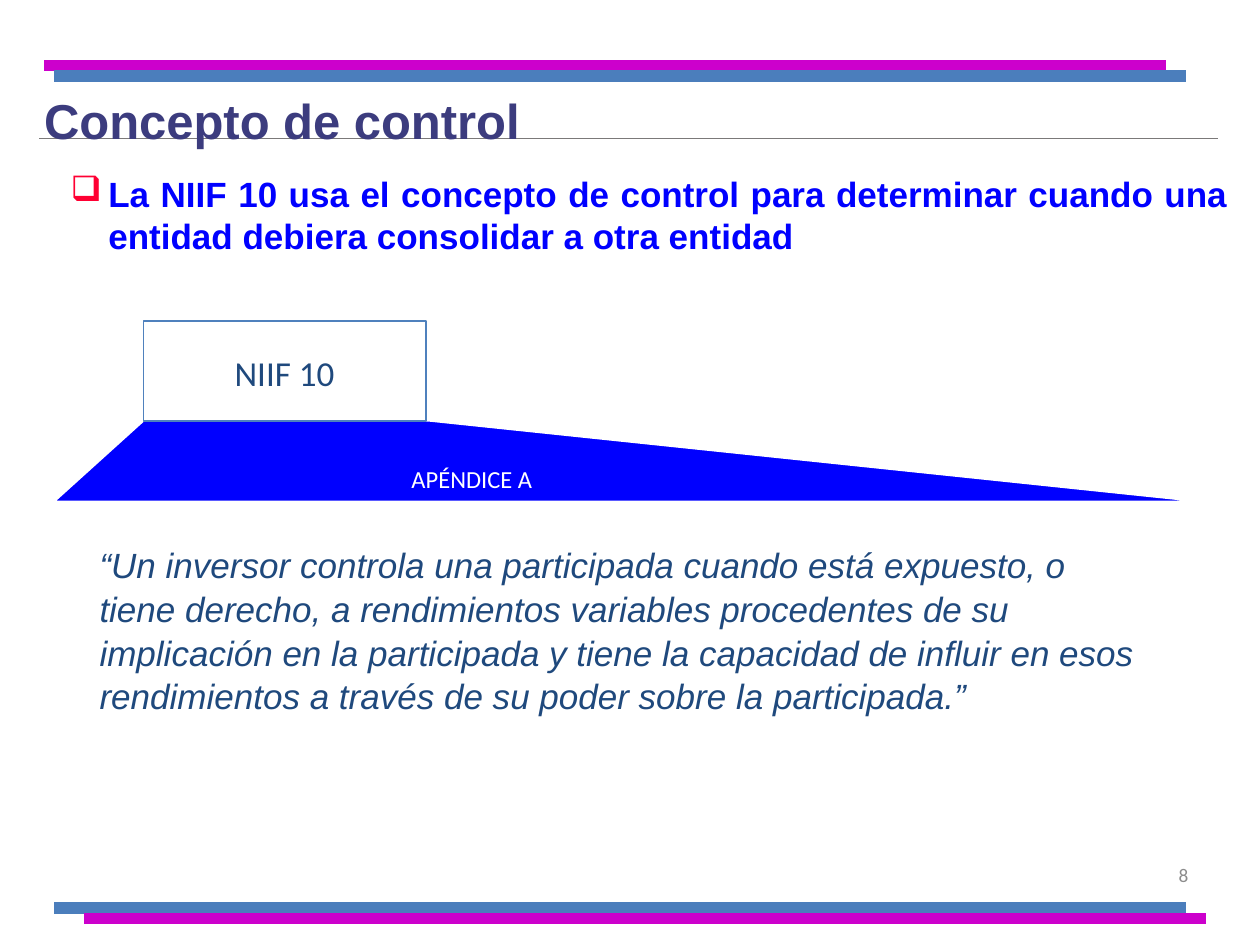
from lxml import etree
from pptx import Presentation
from pptx.dml.color import RGBColor
from pptx.enum import shapes, text
from pptx.oxml import ns
from pptx.util import Pt

THEME = {
    "title": dict(font="Arial", size=28, color="3C3C7E", bold=True),
    "point": dict(font="Arial", size=20, color="0000FF", bold=True),
    "source": dict(font="Calibri", size=20, color="1F497D"),
    "section": dict(font="Calibri", size=14, color="FFFFFF"),
    "quote": dict(font="Arial", size=20, color="1F497D", italic=True),
    "number": dict(font="Calibri", size=11, color="8C8C8C"),
    "bullet": "FF0033",
    "rule": "7B7979",
    "magenta": "CC00CC",
    "steel": "4B7EBC",
    "card_line": "4F81BD",
    "white": "FFFFFF",
    "wedge": "0000FF",
}
LEFT, CENTER, RIGHT, JUSTIFY = (
    text.PP_ALIGN.LEFT, text.PP_ALIGN.CENTER, text.PP_ALIGN.RIGHT, text.PP_ALIGN.JUSTIFY)
TOP, MIDDLE, BOTTOM = (
    text.MSO_ANCHOR.TOP, text.MSO_ANCHOR.MIDDLE, text.MSO_ANCHOR.BOTTOM)

TITLE = "Concepto de control"
POINT = ("La NIIF 10 usa el concepto de control para determinar cuando una "
         "entidad debiera consolidar a otra entidad")
SOURCE = "NIIF 10"
SECTION = "APÉNDICE A"
QUOTE = ("“Un inversor controla una participada cuando está expuesto, o tiene derecho, "
         "a rendimientos variables procedentes de su implicación en la participada y tiene "
         "la capacidad de influir en esos rendimientos a través de su poder sobre la "
         "participada.”")
NUMBER = "8"

# start x, end x, y, colour, weight
RULE = (22.5, 696, 79.2, "rule", 1)
BANDS = [
    (31, 677.5, 519.1, "steel", 6.75),
    (48.2, 689, 524.9, "magenta", 6.75),
    (25.2, 666, 37.4, "magenta", 6.75),
    (31, 677.5, 43.2, "steel", 6.75),
]
WEDGE = [(31, 286.6), (82, 240.5), (245.5, 240.5), (685.4, 286.6)]
CARD = (82, 183.6, 161.3, 56.9)
# wording, style, left, top, width, height, alignment, anchor, inset, line spacing
TITLE_BOX = (TITLE, "title", 25.2, 51.8, 674, 39.6, LEFT, TOP, 0, 1)
NUMBER_BOX = (NUMBER, "number", 518.4, 485.3, 167.8, 28.8, RIGHT, MIDDLE, 7.2, 1)
SECTION_BOX = (SECTION, "section", 61.2, 269.3, 416.9, 15.8, CENTER, BOTTOM, 2.9, 0.95)
QUOTE_BOX = (QUOTE, "quote", 54, 307, 599.8, 120.2, LEFT, TOP, 2.9, 1.04)
POINT_BOX = (POINT, "point", 40.3, 98.4, 661.7, 70.6, JUSTIFY, TOP, 0, 1)
BULLET_INDENT = 21.6


def color(name):
    return RGBColor.from_string(THEME[name])


def write(shape, wording, style, align, anchor, inset, spacing):
    frame = shape.text_frame
    frame.word_wrap = True
    frame.vertical_anchor = anchor
    frame.margin_left = frame.margin_right = Pt(inset)
    frame.margin_top = frame.margin_bottom = Pt(inset)
    para = frame.paragraphs[0]
    para.text = wording
    para.alignment = align
    para.line_spacing = spacing
    look = THEME[style]
    para.font.name = look["font"]
    para.font.size = Pt(look["size"])
    para.font.bold = look.get("bold", False)
    para.font.italic = look.get("italic", False)
    para.font.color.rgb = RGBColor.from_string(look["color"])
    return para


def add_text(page, wording, style, left, top, width, height, *layout):
    box = page.shapes.add_textbox(Pt(left), Pt(top), Pt(width), Pt(height))
    return write(box, wording, style, *layout)


def add_bullet(para, symbol):
    """Put a coloured bullet with a hanging indent ahead of the font settings."""
    props = para._p.get_or_add_pPr()
    props.set("marL", str(Pt(BULLET_INDENT)))
    props.set("indent", str(-Pt(BULLET_INDENT)))
    tint = etree.Element(ns.qn("a:buClr"))
    etree.SubElement(tint, ns.qn("a:srgbClr"), val=THEME["bullet"])
    mark = etree.Element(ns.qn("a:buChar"), char=symbol)
    font = props.find(ns.qn("a:defRPr"))
    for part in (tint, mark):
        font.addprevious(part)


def add_line(page, start, end, y, name, weight):
    line = page.shapes.add_connector(
        shapes.MSO_CONNECTOR.STRAIGHT, Pt(start), Pt(y), Pt(end), Pt(y))
    line.line.color.rgb = color(name)
    line.line.width = Pt(weight)
    etree.SubElement(line._element.spPr, ns.qn("a:effectLst"))


def paint(shape, fill, outline):
    shape.shadow.inherit = False
    shape.fill.solid()
    shape.fill.fore_color.rgb = color(fill)
    shape.line.color.rgb = color(outline)
    shape.line.width = Pt(1)


def main():
    deck = Presentation()
    deck.slide_width, deck.slide_height = Pt(720), Pt(540)
    page = deck.slides.add_slide(deck.slide_layouts[6])

    add_line(page, *RULE)
    add_text(page, *TITLE_BOX)
    add_text(page, *NUMBER_BOX)

    corners = [(Pt(x), Pt(y)) for x, y in WEDGE]
    outline = page.shapes.build_freeform(*corners[0])
    outline.add_line_segments(corners[1:], close=True)
    paint(outline.convert_to_shape(), "wedge", "white")
    add_text(page, *SECTION_BOX)

    card = page.shapes.add_shape(
        shapes.MSO_SHAPE.RECTANGLE, *[Pt(length) for length in CARD])
    paint(card, "white", "card_line")
    write(card, SOURCE, "source", CENTER, MIDDLE, 2.9, 1.06)

    add_text(page, *QUOTE_BOX)
    add_bullet(add_text(page, *POINT_BOX), "❑")
    for band in BANDS:
        add_line(page, *band)

    deck.save("out.pptx")


if __name__ == "__main__":
    main()
